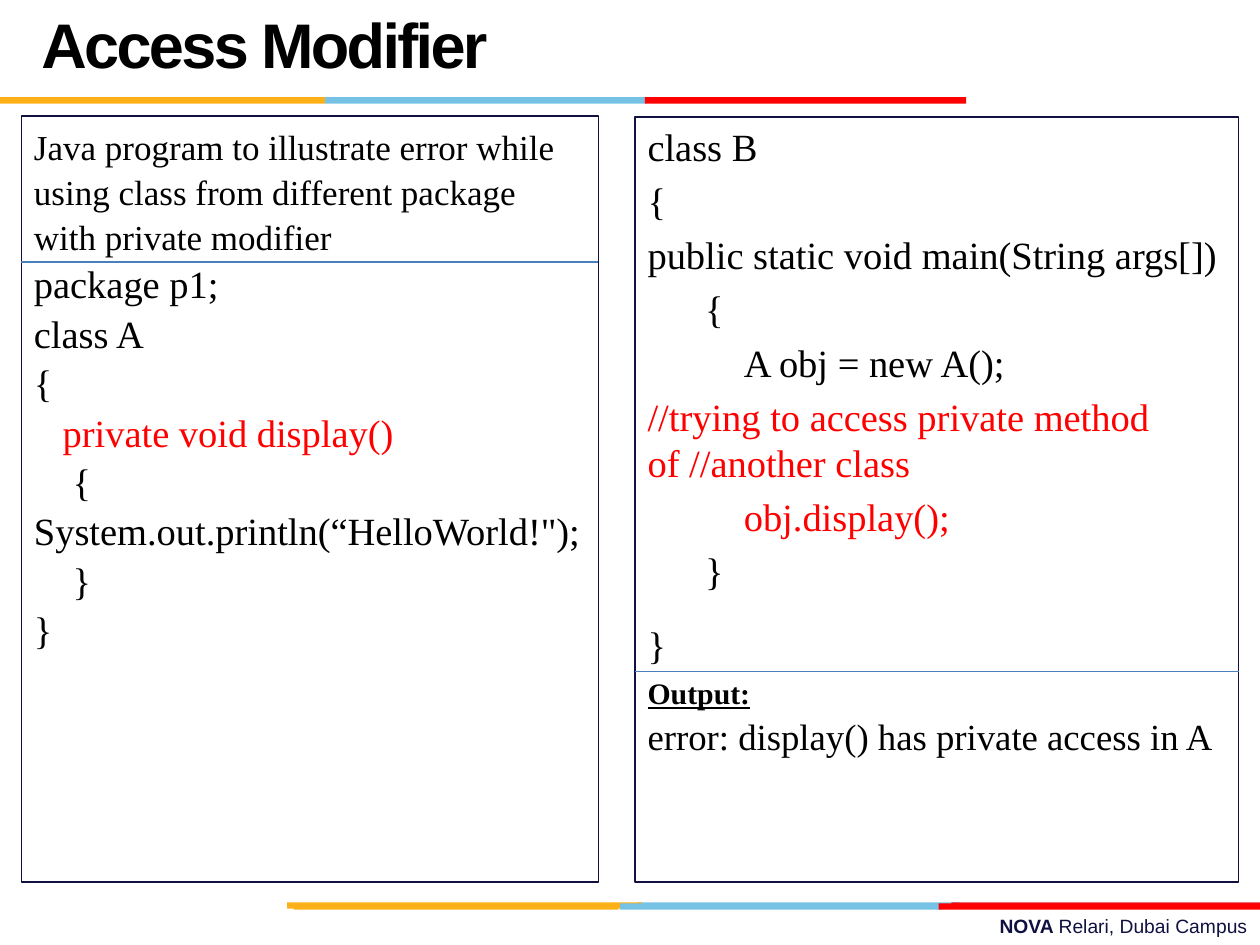
from pptx import Presentation
from pptx import util as u
from pptx.dml.color import RGBColor
from pptx.enum import shapes, text
from pptx.oxml.ns import qn
from lxml import etree

COLORS = {
    "navy": "101141", "black": "000000", "red": "FF0000", "crimson": "E31C24",
    "blue": "76C2E5", "gold": "FCB017", "rule": "4B7EBC",
}
SERIF, SANS = "Times New Roman", "Arial"


class SlideBuilder:
    def __init__(self, page):
        self.page = page

    def color(self, name):
        return RGBColor.from_string(COLORS[name])

    def place(self, shape, left, top, width, height):
        shape.left, shape.top = u.Cm(left), u.Cm(top)
        shape.width, shape.height = u.Cm(width), u.Cm(height)

    def style(self, span, size, color="black", font=SERIF, bold=False, underline=False):
        span.font.name = font
        span.font.size = u.Pt(size)
        span.font.bold = bold
        span.font.underline = underline
        span.font.color.rgb = self.color(color)

    def strip(self, top, segments):
        for left, width, color in segments:
            bar = self.page.shapes.add_shape(
                shapes.MSO_SHAPE.RECTANGLE, u.Cm(left), u.Cm(top), u.Cm(width), u.Cm(0.13))
            bar.shadow.inherit = False
            bar.fill.solid()
            bar.fill.fore_color.rgb = self.color(color)
            bar.line.fill.background()

    def title(self, wording, *place):
        box = self.page.shapes.title
        self.place(box, *place)
        frame = box.text_frame
        frame.text = wording
        frame.auto_size = text.MSO_AUTO_SIZE.NONE
        frame.vertical_anchor = text.MSO_ANCHOR.MIDDLE
        para = frame.paragraphs[0]
        para.alignment = text.PP_ALIGN.LEFT
        para.line_spacing = u.Pt(36)
        span = para.runs[0]
        self.style(span, 36, font=SANS, bold=True)
        span._r.get_or_add_rPr().set("spc", "-150")

    def panel(self, index, lines, *place):
        box = self.page.placeholders[index]
        self.place(box, *place)
        box.line.color.rgb = self.color("navy")
        box.line.width = u.Pt(0.75)
        frame = box.text_frame
        frame.auto_size = text.MSO_AUTO_SIZE.NONE
        frame.text = "\n".join(line["text"] for line in lines)
        for para, line in zip(frame.paragraphs, lines):
            para.space_before = u.Pt(line.get("before", 0))
            para.line_spacing = line.get("spacing", 1.0)
            properties = para._p.get_or_add_pPr()
            properties.set("marL", str(u.Cm(line.get("indent", 0))))
            properties.set("indent", "0")
            etree.SubElement(properties, qn("a:buNone"))
            strong = line.get("heading", False)
            self.style(para.runs[0], line.get("size", 22), line.get("color", "black"),
                       bold=strong, underline=strong)

    def rule(self, left, top, width):
        line = self.page.shapes.add_connector(
            shapes.MSO_CONNECTOR.STRAIGHT, u.Cm(left), u.Cm(top), u.Cm(left + width), u.Cm(top))
        line.line.color.rgb = self.color("rule")
        line.line.width = u.Pt(0.75)
        etree.SubElement(line._element.spPr, qn("a:effectLst"))

    def footer(self, parts, *place):
        box = self.page.shapes.add_textbox(*map(u.Cm, place))
        box.text_frame.word_wrap = True
        para = box.text_frame.paragraphs[0]
        para.alignment = text.PP_ALIGN.RIGHT
        for wording, bold in parts:
            span = para.add_run()
            span.text = wording
            self.style(span, 11, "navy", SANS, bold)


def code(wording, indent=0, color="black", **options):
    return {"text": wording, "indent": indent, "color": color, **options}


def main():
    deck = Presentation()
    deck.slide_width, deck.slide_height = u.Cm(25.4), u.Cm(19.05)
    page = deck.slides.add_slide(deck.slide_layouts[3])
    for holder in list(page.placeholders):
        if holder.placeholder_format.idx > 2:
            holder._element.getparent().remove(holder._element)
    slide = SlideBuilder(page)

    slide.footer([("NOVA ", True), ("Relari, Dubai Campus", False)], 9.09, 18.31, 16.31, 0.74)
    slide.strip(18.19, [(12.85, 6.48, "blue"), (19.18, 6.22, "crimson"), (5.79, 7.16, "gold")])
    slide.strip(18.21, [(12.5, 6.48, "blue"), (5.92, 6.55, "gold"), (18.92, 6.48, "red")])
    slide.strip(1.96, [(6.55, 6.48, "blue"), (0, 6.55, "gold"), (13, 6.48, "red")])
    slide.title("Access Modifier", 0.58, 0.48, 17.58, 1.02)

    class_a = [
        code("Java program to illustrate error while using class from different package "
             "with private modifier", size=20),
        code("package p1;"),
        code("class A"),
        code("{"),
        code("private void display()", 0.58, "red"),
        code("{", 0.78),
        code("System.out.println(“HelloWorld!\");"),
        code("}", 0.78),
        code("}"),
    ]
    class_b = [
        code("class B"),
        code("{"),
        code("public static void main(String args[])"),
        code("{", 1.16),
        code("A obj = new A();", 1.94),
        code("//trying to access private method of //another class", color="red"),
        code("obj.display();", 1.94, "red"),
        code("}", 1.16),
        code("}", before=16),
        code("Output:", size=17, heading=True),
        code("error: display() has private access in A", size=21, before=0, spacing=1.07),
    ]
    slide.panel(1, [{"spacing": 1.07, **line} for line in class_a], 0.43, 2.34, 11.63, 15.44)
    slide.panel(2, [{"before": 4.4, **line} for line in class_b], 12.8, 2.36, 12.17, 15.42)
    slide.rule(0.43, 5.28, 11.63)
    slide.rule(12.8, 13.54, 12.17)

    deck.save("out.pptx")


if __name__ == "__main__":
    main()
